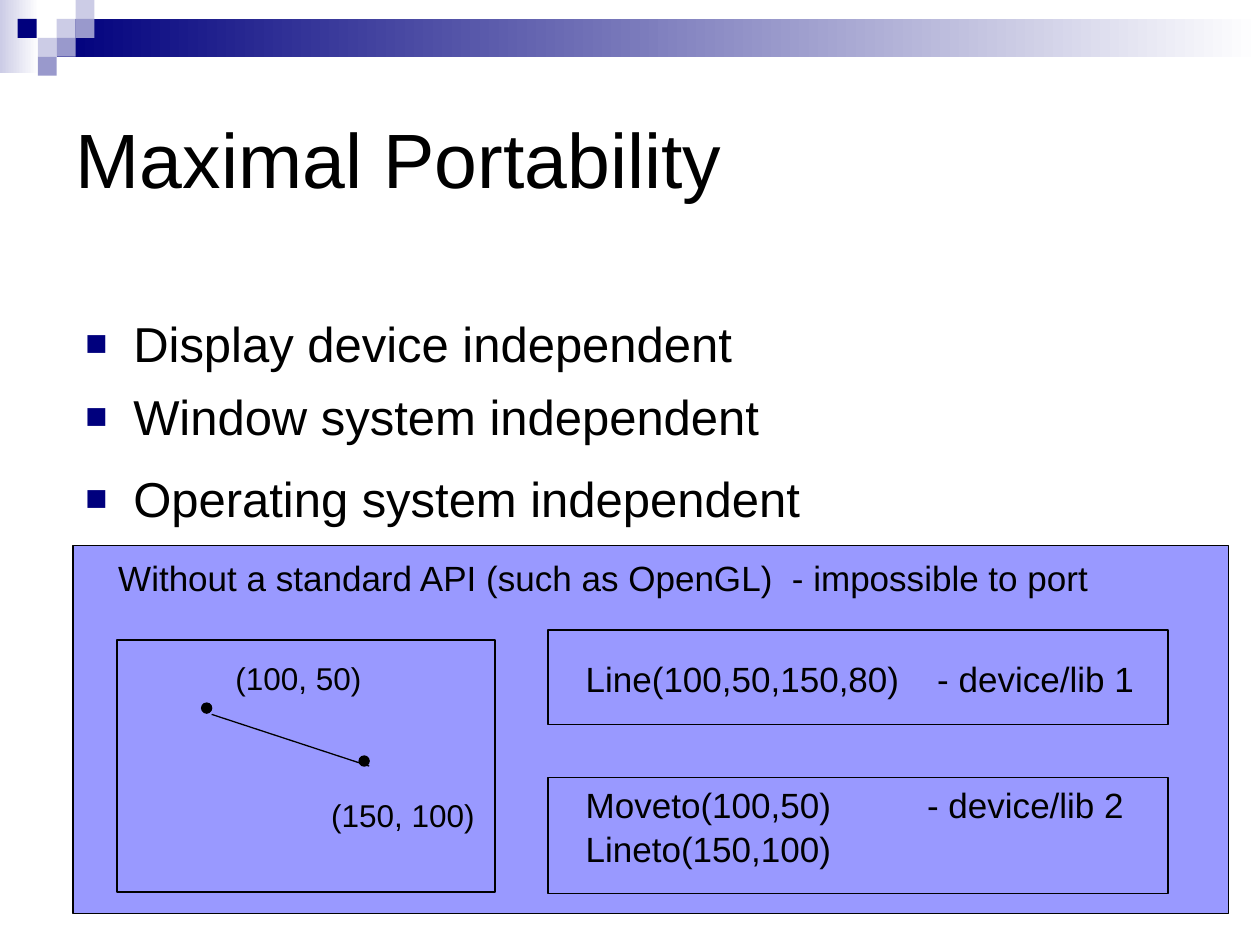
from lxml import etree
from pptx import Presentation
from pptx.dml.color import RGBColor
from pptx.enum.shapes import MSO_CONNECTOR, MSO_SHAPE
from pptx.enum.text import MSO_ANCHOR, PP_ALIGN
from pptx.oxml.ns import qn
from pptx.util import Inches, Pt

BLACK = "000000"
NAVY = "00007D"
LAVENDER = "CCCCE6"
VIOLET = "9999CC"
TILE = 0.15


def color(value):
    return RGBColor.from_string(value)


def place(shape, left, top, width, height):
    shape.left, shape.top = Inches(left), Inches(top)
    shape.width, shape.height = Inches(width), Inches(height)


def style_paragraph(paragraph, size):
    paragraph.alignment = PP_ALIGN.LEFT
    for run in paragraph.runs:
        run.font.name = "Arial"
        run.font.size = Pt(size)
        run.font.color.rgb = color(BLACK)


def add_box(slide, box, fill=None, line=None, kind=MSO_SHAPE.RECTANGLE):
    shape = slide.shapes.add_shape(kind, *map(Inches, box))
    shape.shadow.inherit = False
    if fill:
        shape.fill.solid()
        shape.fill.fore_color.rgb = color(fill)
    else:
        shape.fill.background()
    if line:
        shape.line.color.rgb = color(line)
        shape.line.width = Pt(0.75)
    else:
        shape.line.fill.background()
    return shape


def add_gradient(slide, box, start):
    shape = add_box(slide, box)
    shape.fill.gradient()
    shape.fill.gradient_angle = 0
    for stop, value in zip(shape.fill.gradient_stops, (start, "FFFFFF")):
        stop.color.rgb = color(value)


def add_text(slide, box, lines, size):
    shape = slide.shapes.add_textbox(*map(Inches, box))
    text_frame = shape.text_frame
    text_frame.word_wrap = True
    text_frame.text = "\n".join(lines)
    for paragraph in text_frame.paragraphs:
        style_paragraph(paragraph, size)
    return text_frame.paragraphs


def add_bullet(paragraph):
    properties = paragraph._p.get_or_add_pPr()
    properties.set("marL", str(Inches(0.38)))
    properties.set("indent", str(-Inches(0.38)))
    bullet_color = etree.SubElement(properties, qn("a:buClr"))
    etree.SubElement(bullet_color, qn("a:srgbClr"), val=NAVY)
    etree.SubElement(properties, qn("a:buSzPct"), val="75000")
    etree.SubElement(properties, qn("a:buFont"), typeface="Arial")
    etree.SubElement(properties, qn("a:buChar"), char="■")


def add_tab(paragraph, position):
    properties = paragraph._p.get_or_add_pPr()
    tabs = etree.SubElement(properties, qn("a:tabLst"))
    etree.SubElement(tabs, qn("a:tab"), pos=str(Inches(position)), algn="l")


def add_line(slide, start, end):
    line = slide.shapes.add_connector(
        MSO_CONNECTOR.STRAIGHT, *map(Inches, start + end))
    line.line.color.rgb = color(BLACK)
    line.line.width = Pt(0.75)
    etree.SubElement(line._element.spPr, qn("a:effectLst"))


def add_header(slide):
    add_gradient(slide, (0, 0, 0.31, 0.58), LAVENDER)
    add_gradient(slide, (0.45, 0.15, 9.55, 0.3), NAVY)
    tiles = [(3, 1, LAVENDER), (4, 0, LAVENDER), (4, 1, VIOLET),
             (2, 2, LAVENDER), (3, 2, VIOLET), (2, 3, VIOLET)]
    for column, row, fill in tiles:
        add_box(slide, (column * TILE, row * TILE, TILE, TILE), fill)
    add_box(slide, (0.14, TILE, TILE, TILE), NAVY)


def add_title(slide):
    title = slide.shapes.title
    place(title, 0.5, 0.5, 9, 1.5)
    title.text_frame.text = "Maximal Portability"
    title.text_frame.vertical_anchor = MSO_ANCHOR.MIDDLE
    style_paragraph(title.text_frame.paragraphs[0], 44)


def add_points(slide):
    points = ["Display device independent", "Window system independent",
              "Operating system independent"]
    paragraphs = add_text(slide, (0.58, 2.44, 8.5, 1.8), points, 28)
    for paragraph, space in zip(paragraphs, (0, 8, 13)):
        paragraph.space_before = Pt(space)
        add_bullet(paragraph)


def add_drawing(slide):
    add_box(slide, (0.93, 5.08, 3, 2), line=BLACK)
    add_line(slide, (1.68, 5.67), (2.93, 6.08))
    for left, top in ((1.6, 5.58), (2.85, 6)):
        add_box(slide, (left, top, 0.08, 0.08), BLACK, BLACK, MSO_SHAPE.OVAL)
    add_text(slide, (1.77, 5.18, 1.3, 0.4), ["(100, 50)"], 18)
    add_text(slide, (2.53, 6.27, 1.4, 0.4), ["(150, 100)"], 18)


def add_calls(slide):
    calls = ["Line(100,50,150,80)\t- device/lib 1",
             "Moveto(100,50)\t- device/lib 2", "Lineto(150,100)"]
    paragraphs = add_text(slide, (4.55, 5.17, 4.7, 1.77), calls, 20)
    for paragraph, space in zip(paragraphs, (0, 48, 1)):
        paragraph.space_before = Pt(space)
    for paragraph, position in zip(paragraphs, (2.79, 2.71)):
        add_tab(paragraph, position)
    for top, height in ((5, 0.75), (6.17, 0.92)):
        add_box(slide, (4.35, top, 4.92, height), line=BLACK)


def main():
    presentation = Presentation()
    presentation.slide_width = Inches(10)
    presentation.slide_height = Inches(7.5)
    slide = presentation.slides.add_slide(presentation.slide_layouts[5])
    add_header(slide)
    add_title(slide)
    add_points(slide)
    add_box(slide, (0.58, 4.33, 9.17, 2.92), "9999FF", BLACK)
    add_drawing(slide)
    add_calls(slide)
    add_text(slide, (0.84, 4.37, 8.06, 0.44),
             ["Without a standard API (such as OpenGL)  - impossible to port"],
             20)
    presentation.save("out.pptx")


if __name__ == "__main__":
    main()
